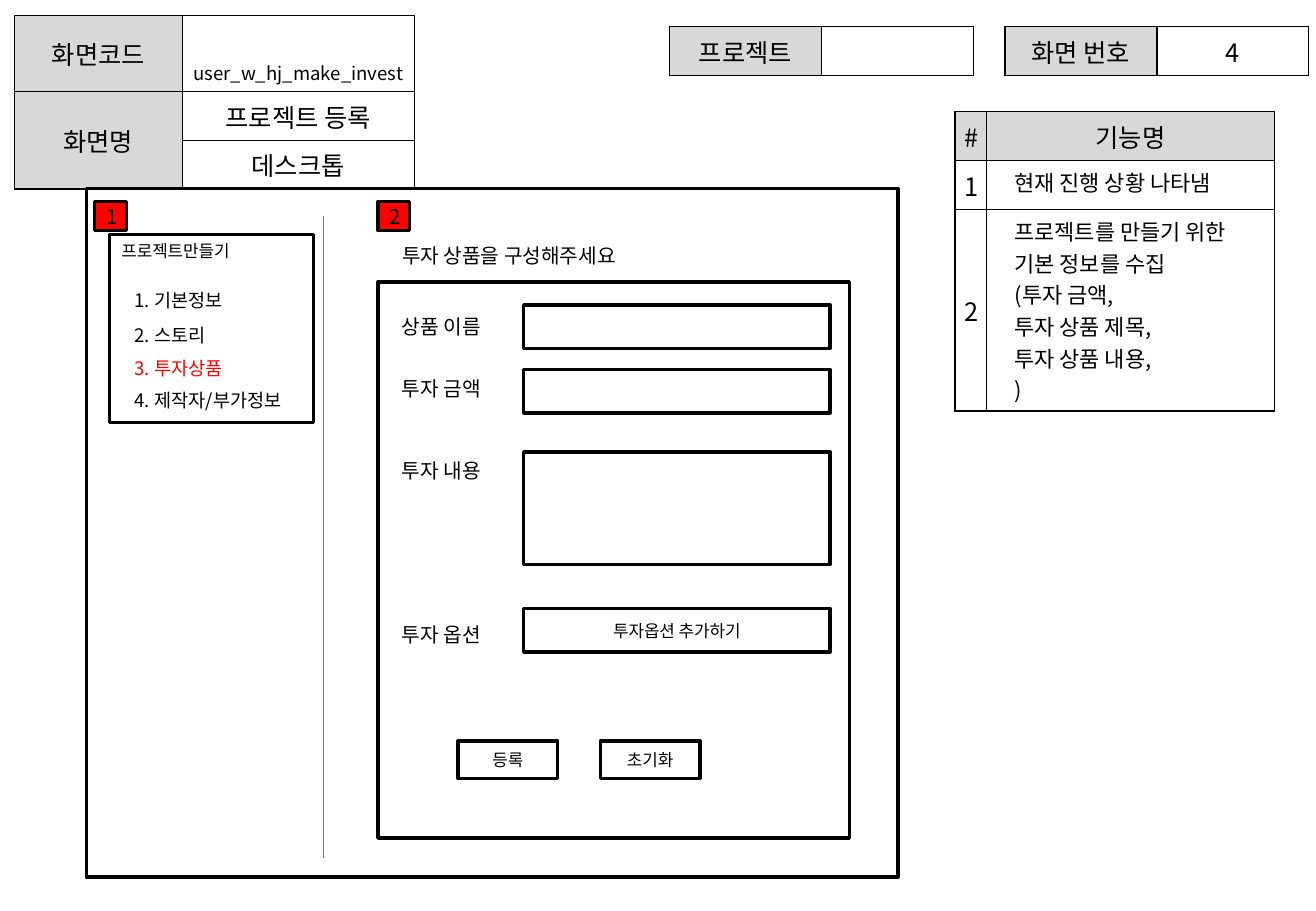
"""Build the wireframe slide for the investment product registration screen."""
from lxml.etree import SubElement
from pptx import Presentation
from pptx.dml.color import RGBColor
from pptx.enum.shapes import MSO_CONNECTOR, MSO_SHAPE
from pptx.enum.text import MSO_ANCHOR, PP_ALIGN
from pptx.oxml.ns import qn
from pptx.util import Inches, Pt

FONT = "Noto Sans CJK KR"
BLACK, WHITE, RED, GRAY, BLUE = "000000", "FFFFFF", "FF0000", "D8D8D8", "4B7EBC"

HEADER_TABLES = [
    (5.51, "프로젝트", ""),
    (8.27, "화면 번호", "4"),
]
SCREEN_ROWS = [
    ["화면코드", [(" ", 15), ("user_w_hj_make_invest", 11)]],
    ["화면명", "프로젝트 등록"],
    ["", "데스크톱"],
]
FEATURES = [
    ("1", ["현재 진행 상황 나타냄"]),
    ("2", ["프로젝트를 만들기 위한 기본 정보를 수집", "(투자 금액,",
           "투자 상품 제목,", "투자 상품 내용,", ")"]),
]
MENU = [
    (2.33, "1. 기본정보", BLACK),
    (2.62, "2. 스토리", BLACK),
    (2.89, "3. 투자상품", RED),
    (3.15, "4. 제작자/부가정보", BLACK),
]
FIELDS = [
    ("상품 이름", 2.54, 2.51, 0.36, ""),
    ("투자 금액", 3.05, 3.04, 0.36, ""),
    ("투자 내용", 3.72, 3.72, 0.93, ""),
    ("투자 옵션", 5.07, 5.01, 0.36, "투자옵션 추가하기"),
]
PANELS = [
    (0.71, 1.55, 6.68, 5.67),
    (0.9, 1.93, 1.68, 1.55),
    (3.11, 2.32, 3.88, 4.58),
]
BADGES = [("1", 0.78), ("2", 3.11)]
BUTTONS = [("등록", 3.77), ("초기화", 4.94)]


def rgb(color):
    return RGBColor.from_string(color)


def add_run(p, text, size, color=BLACK):
    r = p.add_run()
    r.text = text
    r.font.size, r.font.name = Pt(size), FONT
    r.font.color.rgb = rgb(color)
    SubElement(r.font._element, qn("a:ea"), typeface=FONT)


def add_text(left, top, width, height, text, size, color=BLACK):
    tf = slide.shapes.add_textbox(*map(Inches, (left, top, width, height))).text_frame
    tf.word_wrap = True
    add_run(tf.paragraphs[0], text, size, color)


def add_box(left, top, width, height, text="", size=10, fill=None):
    sp = slide.shapes.add_shape(MSO_SHAPE.RECTANGLE,
                                *map(Inches, (left, top, width, height)))
    sp.shadow.inherit = False
    sp.line.color.rgb, sp.line.width = rgb(BLACK), Pt(2)
    if fill:
        sp.fill.solid()
        sp.fill.fore_color.rgb = rgb(fill)
    else:
        sp.fill.background()
    if text:
        tf = sp.text_frame
        tf.word_wrap, tf.vertical_anchor = True, MSO_ANCHOR.MIDDLE
        p = tf.paragraphs[0]
        p.alignment = PP_ALIGN.CENTER
        add_run(p, text, size)


def style_cell(cell, fill):
    cell.margin_left = cell.margin_right = Inches(0.08)
    cell.margin_top = cell.margin_bottom = Inches(0.05)
    tc_pr = cell._tc.get_or_add_tcPr()
    for side in ("lnL", "lnR", "lnT", "lnB"):
        ln = SubElement(tc_pr, qn(f"a:{side}"), w=str(Pt(1)))
        SubElement(SubElement(ln, qn("a:solidFill")), qn("a:srgbClr"), val=BLACK)
    cell.fill.solid()
    cell.fill.fore_color.rgb = rgb(fill)


def fill_cell(cell, content):
    """Write centred text or a list of (text, size) runs."""
    cell.vertical_anchor = MSO_ANCHOR.MIDDLE
    p = cell.text_frame.paragraphs[0]
    p.alignment = PP_ALIGN.CENTER
    for text, size in [(content, 15)] if isinstance(content, str) else content:
        add_run(p, text, size)


def fill_notes(cell, notes):
    tf = cell.text_frame
    for i, note in enumerate(notes):
        p = tf.add_paragraph() if i else tf.paragraphs[0]
        p._p.get_or_add_pPr().set("marL", str(Inches(0.15)))
        add_run(p, note, 13)


def add_grid(left, top, widths, heights, is_header):
    table = slide.shapes.add_table(
        len(heights), len(widths),
        *map(Inches, (left, top, sum(widths), sum(heights)))).table
    for column, width in zip(table.columns, widths):
        column.width = Inches(width)
    for i, (row, height) in enumerate(zip(table.rows, heights)):
        row.height = Inches(height)
        for j, cell in enumerate(row.cells):
            style_cell(cell, GRAY if is_header(i, j) else WHITE)
    return table


def first_column(i, j):
    return j == 0


def first_row(i, j):
    return i == 0


prs = Presentation()
prs.slide_width, prs.slide_height = Inches(10.83), Inches(7.5)
slide = prs.slides.add_slide(prs.slide_layouts[6])

for left, *labels in HEADER_TABLES:
    table = add_grid(left, 0.22, [1.25, 1.25], [0.4], first_column)
    for cell, label in zip(table.rows[0].cells, labels):
        fill_cell(cell, label)

table = add_grid(7.86, 0.92, [0.26, 2.37], [0.4, 0.4, 1.65], first_row)
for cell, label in zip(table.rows[0].cells, ("#", "기능명")):
    fill_cell(cell, label)
for i, (number, notes) in enumerate(FEATURES, 1):
    fill_cell(table.cell(i, 0), number)
    fill_notes(table.cell(i, 1), notes)

table = add_grid(0.12, 0.13, [1.38, 1.91], [0.53, 0.35, 0.35], first_column)
table.cell(1, 0).merge(table.cell(2, 0))
for i, row in enumerate(SCREEN_ROWS):
    for j, content in enumerate(row):
        if content:
            fill_cell(table.cell(i, j), content)

divider = slide.shapes.add_connector(
    MSO_CONNECTOR.STRAIGHT, *map(Inches, (2.66, 1.78, 2.66, 7.06)))
divider.line.color.rgb, divider.line.width = rgb(BLUE), Pt(0.75)
SubElement(divider._element.spPr, qn("a:effectLst"))

for panel in PANELS:
    add_box(*panel)
for number, left in BADGES:
    add_box(left, 1.66, 0.26, 0.24, number, 12, RED)

add_text(0.9, 1.93, 1.18, 0.27, "프로젝트만들기", 10)
for top, item, color in MENU:
    add_text(1.01, top, 1.75, 0.29, item, 11, color)

add_text(3.21, 1.95, 2.68, 0.3, "투자 상품을 구성해주세요", 12)
for label, label_top, top, height, prompt in FIELDS:
    add_text(3.21, label_top, 1.1, 0.3, label, 12)
    add_box(4.31, top, 2.52, height, prompt)
for label, left in BUTTONS:
    add_box(left, 6.1, 0.82, 0.31, label)

prs.save("out.pptx")
